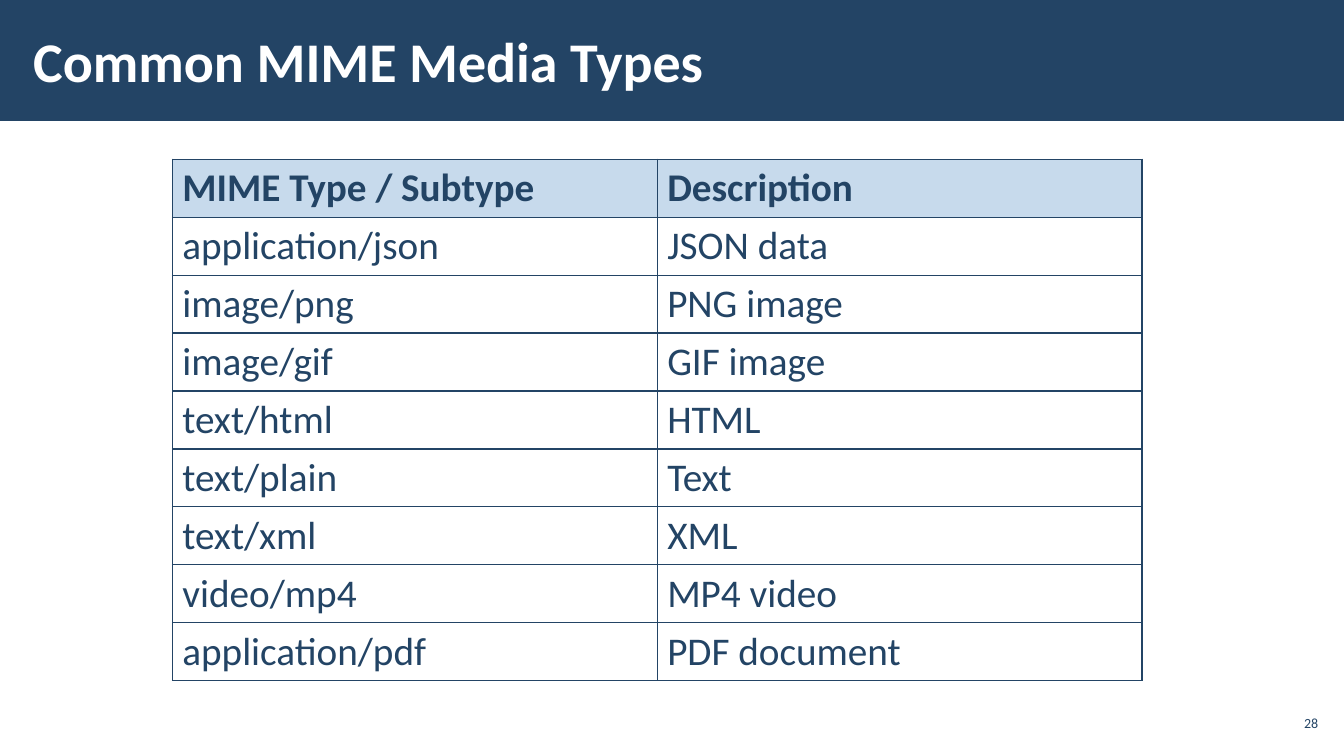
from lxml.etree import SubElement as Sub
from pptx import Presentation as Deck
from pptx.dml.color import RGBColor
from pptx.enum.shapes import MSO_SHAPE as Kind
from pptx.enum.text import MSO_ANCHOR as Anchor, PP_ALIGN as Align
from pptx.oxml.ns import qn
from pptx.util import Pt

NAVY, PALE, WHITE = "234465", "C7DAEC", "FFFFFF"
WIDE, HIGH = 960, 540
ROWS = [
    ("MIME Type / Subtype", "Description"),
    ("application/json", "JSON data"),
    ("image/png", "PNG image"),
    ("image/gif", "GIF image"),
    ("text/html", "HTML"),
    ("text/plain", "Text"),
    ("text/xml", "XML"),
    ("video/mp4", "MP4 video"),
    ("application/pdf", "PDF document"),
]


def tint(code):
    return RGBColor.from_string(code)


def write(frame, text, size=28, color=NAVY, bold=False, align=Align.LEFT,
          font="Calibri"):
    para = frame.paragraphs[0]
    para.alignment = align
    run = para.add_run()
    run.text = text
    run.font.name = font
    run.font.size = Pt(size)
    run.font.bold = bold
    run.font.color.rgb = tint(color)


class Page:
    def __init__(self, slide, ink=NAVY, head=PALE):
        self.shapes = slide.shapes
        self.ink = ink
        self.head = head

    def band(self, x, y, w, h):
        bar = self.shapes.add_shape(Kind.RECTANGLE, Pt(x), Pt(y), Pt(w), Pt(h))
        bar.shadow.inherit = False
        bar.fill.solid()
        bar.fill.fore_color.rgb = tint(self.ink)
        bar.line.fill.background()

    def label(self, text, x, y, w, h, pad=3, **form):
        box = self.shapes.add_textbox(Pt(x), Pt(y), Pt(w), Pt(h))
        frame = box.text_frame
        frame.word_wrap = True
        frame.vertical_anchor = Anchor.MIDDLE
        frame.margin_left = frame.margin_right = Pt(pad)
        frame.margin_top = frame.margin_bottom = Pt(3)
        write(frame, text, **form)

    def border(self, cell):
        props = cell._tc.get_or_add_tcPr()
        for side in ("a:lnL", "a:lnR", "a:lnT", "a:lnB"):
            line = Sub(props, qn(side), w=str(Pt(1)))
            fill = Sub(line, qn("a:solidFill"))
            Sub(fill, qn("a:srgbClr"), val=self.ink)

    def table(self, rows, x, y, w, step):
        count = len(rows[0])
        grid = self.shapes.add_table(len(rows), count, Pt(x), Pt(y), Pt(w),
                                     Pt(step * len(rows))).table
        grid.horz_banding = False
        for col in grid.columns:
            col.width = Pt(w / count)
        for r, row in enumerate(rows):
            grid.rows[r].height = Pt(step)
            for c, text in enumerate(row):
                cell = grid.cell(r, c)
                self.border(cell)
                if r == 0:
                    cell.fill.solid()
                    cell.fill.fore_color.rgb = tint(self.head)
                else:
                    cell.fill.background()
                write(cell.text_frame, text, color=self.ink, bold=r == 0)


def main():
    deck = Deck()
    deck.slide_width, deck.slide_height = Pt(WIDE), Pt(HIGH)
    page = Page(deck.slides.add_slide(deck.slide_layouts[6]))
    page.band(0, 0, WIDE, 86.4)
    page.label("28", 910.8, 504, 33.84, 24.48, size=10, align=Align.RIGHT)
    page.table(ROWS, 123.12, 113.76, 692.64, 41.4)
    page.label("Common MIME Media Types", 15.12, 7.92, 748.8, 69.84, pad=8.64,
               size=40, color=WHITE, bold=True)
    deck.save("out.pptx")


if __name__ == "__main__":
    main()
